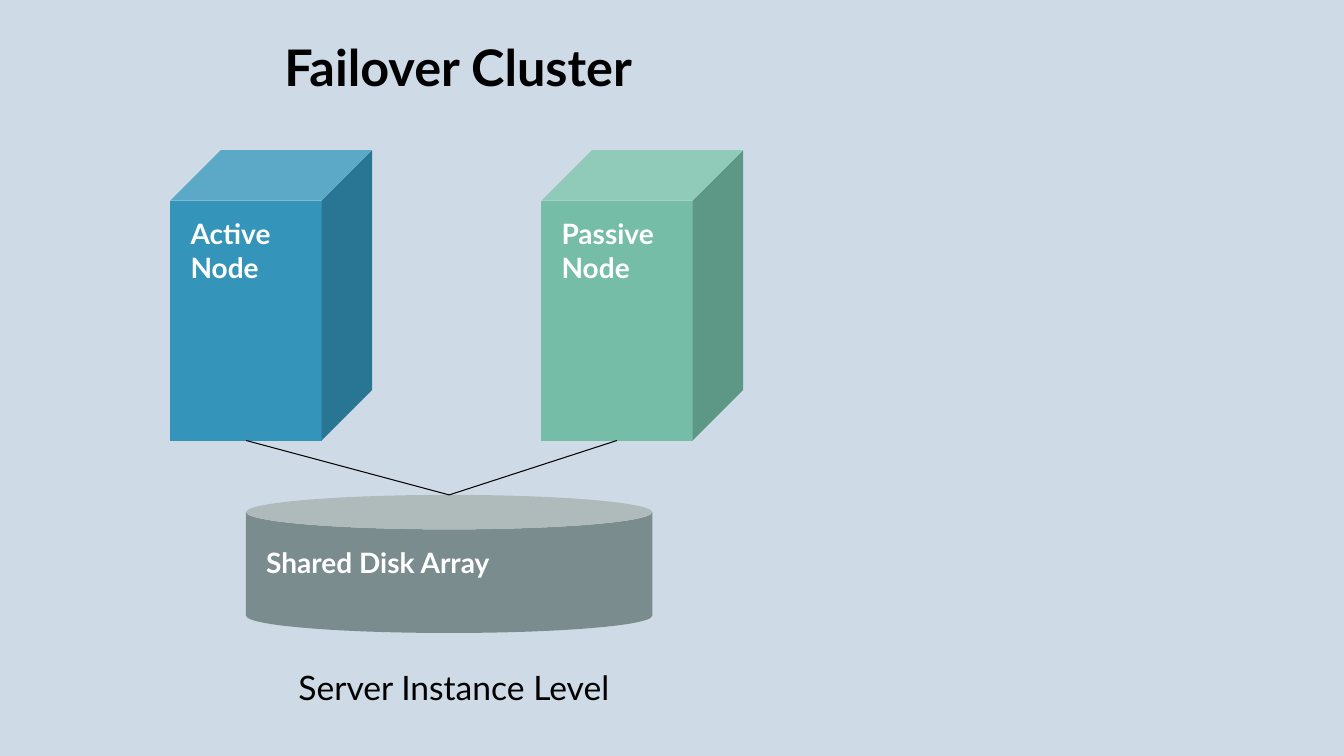
from lxml.etree import SubElement
from pptx import Presentation
from pptx.dml.color import RGBColor
from pptx.enum.shapes import MSO_CONNECTOR, MSO_SHAPE
from pptx.enum.text import MSO_ANCHOR, MSO_AUTO_SIZE, PP_ALIGN
from pptx.oxml.ns import qn
from pptx.util import Inches, Pt

BACKGROUND = RGBColor(0xCE, 0xDB, 0xE6)
BLUE = RGBColor(0x34, 0x94, 0xBA)
GREEN = RGBColor(0x75, 0xBD, 0xA7)
GRAY = RGBColor(0x7A, 0x8C, 0x8E)
WHITE = RGBColor(0xFF, 0xFF, 0xFF)
BLACK = RGBColor(0x00, 0x00, 0x00)
FONT = "Lato"

TITLE = "Failover Cluster"
CAPTION = "Server Instance Level"
NODES = [("Active Node", BLUE), ("Passive Node", GREEN)]
STORAGE = "Shared Disk Array"

SLIDE_SIZE = (13.33, 7.5)
TITLE_BOX = (2.82, 0.36, 6.28, 0.61)
CAPTION_BOX = (2.96, 6.62, 5.17, 0.4)
NODE_LEFT, NODE_TOP, NODE_WIDTH, NODE_HEIGHT = 1.69, 1.49, 2, 2.88
NODE_PITCH = 3.68
NODE_DEPTH = NODE_WIDTH / 4
STORAGE_BOX = (2.44, 4.91, 4.03, 1.37)
INSETS = (0.2, 0.16)


def inches(values):
    return [Inches(value) for value in values]


def write(shape, text, size, color, bold, insets=(0, 0)):
    frame = shape.text_frame
    frame.word_wrap = True
    frame.vertical_anchor = MSO_ANCHOR.TOP
    frame.margin_left = frame.margin_right = Inches(insets[0])
    frame.margin_top = frame.margin_bottom = Inches(insets[1])
    frame.text = text
    paragraph = frame.paragraphs[0]
    paragraph.alignment = PP_ALIGN.LEFT
    font = paragraph.font
    font.name, font.size, font.bold = FONT, Pt(size), bold
    font.color.rgb = color


def add_solid(slide, kind, box, text, color):
    shape = slide.shapes.add_shape(kind, *inches(box))
    shape.shadow.inherit = False
    shape.fill.solid()
    shape.fill.fore_color.rgb = color
    shape.line.fill.background()
    write(shape, text, 20, WHITE, True, INSETS)


def add_link(slide, start, end):
    link = slide.shapes.add_connector(MSO_CONNECTOR.STRAIGHT, *inches(start + end))
    link.line.color.rgb = BLACK
    link.line.width = Pt(0.75)
    SubElement(link._element.spPr, qn("a:effectLst"))


def main():
    presentation = Presentation()
    presentation.slide_width, presentation.slide_height = inches(SLIDE_SIZE)
    slide = presentation.slides.add_slide(presentation.slide_layouts[5])
    slide.background.fill.solid()
    slide.background.fill.fore_color.rgb = BACKGROUND

    storage_left, storage_top, storage_width, _ = STORAGE_BOX
    storage_point = (storage_left + storage_width / 2, storage_top)
    add_solid(slide, MSO_SHAPE.CAN, STORAGE_BOX, STORAGE, GRAY)
    for index, (name, color) in enumerate(NODES):
        left = NODE_LEFT + index * NODE_PITCH
        box = (left, NODE_TOP, NODE_WIDTH, NODE_HEIGHT)
        add_solid(slide, MSO_SHAPE.CUBE, box, name, color)
        node_point = (left + (NODE_WIDTH - NODE_DEPTH) / 2, NODE_TOP + NODE_HEIGHT)
        add_link(slide, node_point, storage_point)

    title = slide.shapes.title
    title.left, title.top, title.width, title.height = inches(TITLE_BOX)
    caption = slide.shapes.add_textbox(*inches(CAPTION_BOX))
    for shape, text, size, bold in [(title, TITLE, 36, True), (caption, CAPTION, 24, False)]:
        write(shape, text, size, BLACK, bold)
        shape.text_frame.auto_size = MSO_AUTO_SIZE.SHAPE_TO_FIT_TEXT

    presentation.save("out.pptx")


if __name__ == "__main__":
    main()
